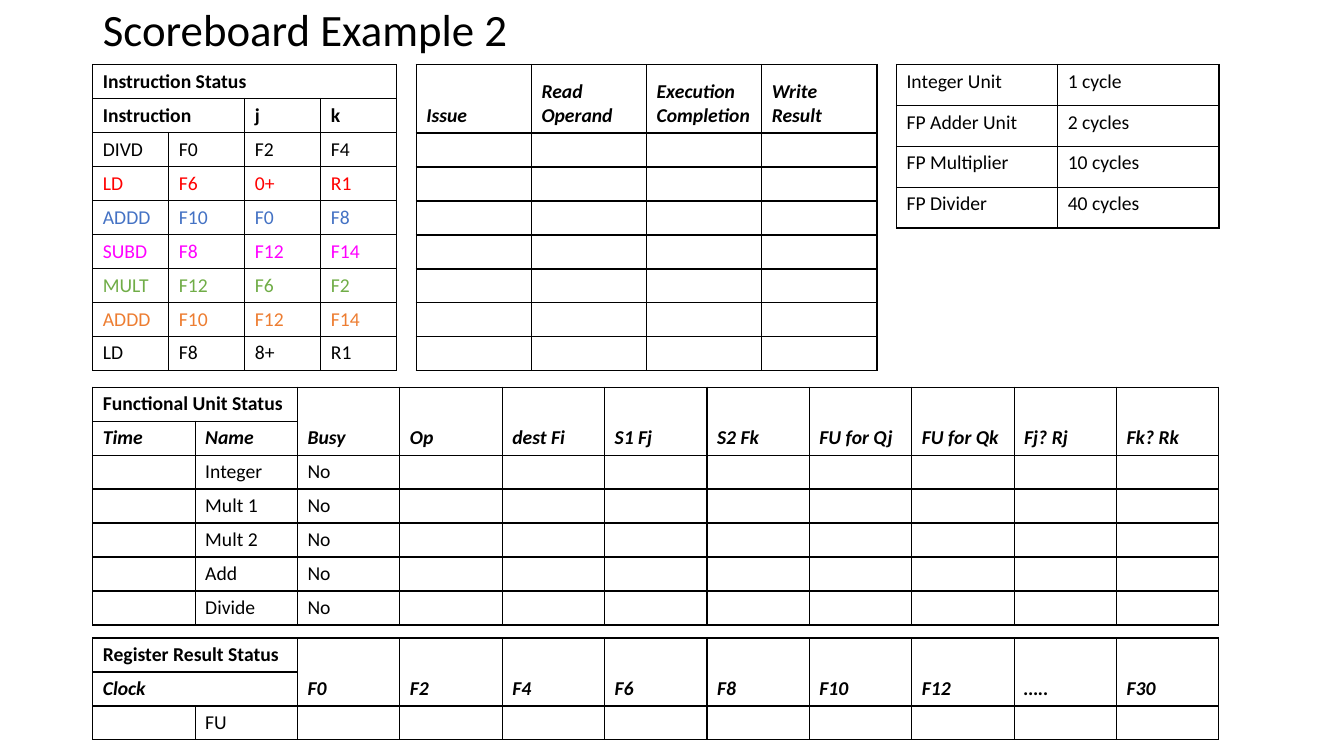
from dataclasses import dataclass

from lxml import etree
from pptx import Presentation
from pptx import util as u
from pptx.dml.color import RGBColor
from pptx.enum import text as t
from pptx.oxml import ns

BLACK = RGBColor(0x00, 0x00, 0x00)
RED = RGBColor(0xFF, 0x00, 0x00)
BLUE = RGBColor(0x44, 0x72, 0xC4)
MAGENTA = RGBColor(0xFF, 0x00, 0xFF)
GREEN = RGBColor(0x70, 0xAD, 0x47)
ORANGE = RGBColor(0xED, 0x7D, 0x31)

FONT = "Calibri"
BODY_SIZE = 14
LEFT, TOP = u.Inches(0.92), u.Inches(0.64)
COLUMN = u.Inches(11.17) / 11
ROW = u.Inches(0.33)


@dataclass(frozen=True)
class Entry:
    """Content of one table cell; rows and cols are the cells it spans."""
    text: str = ""
    color: RGBColor = BLACK
    bold: bool = False
    italic: bool = False
    bottom: bool = False
    rows: int = 1
    cols: int = 1


@dataclass(frozen=True)
class Grid:
    """Table placed in grid columns and rows, counted from LEFT and TOP."""
    column: float
    row: float
    width: float
    column_count: int
    entries: list[list[Entry | None]]
    row_height: float = 1
    header_height: float = 1


def section(label: str, cols: int) -> Entry:
    return Entry(label, bold=True, cols=cols)


def heading(label: str, rows: int = 1, cols: int = 1, bottom: bool = False) -> Entry:
    return Entry(label, bold=True, italic=True, bottom=bottom, rows=rows, cols=cols)


def plain(*labels: str, color: RGBColor = BLACK) -> list[Entry]:
    return [Entry(label, color) for label in labels]


def tall_headings(*labels: str) -> list[Entry]:
    return [heading(label, rows=2, bottom=True) for label in labels]


def write(paragraph, content: str, *, size: float = BODY_SIZE, color: RGBColor = BLACK,
          bold: bool = False, italic: bool = False) -> None:
    run = paragraph.add_run()
    run.text = content
    font = run.font
    font.name, font.size = FONT, u.Pt(size)
    font.bold, font.italic = bold, italic
    font.color.rgb = color


def outline(cell) -> None:
    properties = cell._tc.get_or_add_tcPr()
    for side in ("a:lnL", "a:lnR", "a:lnT", "a:lnB"):
        line = etree.SubElement(properties, ns.qn(side), w=str(u.Pt(1)))
        fill = etree.SubElement(line, ns.qn("a:solidFill"))
        etree.SubElement(fill, ns.qn("a:srgbClr"), val=str(BLACK))


def fill_cell(cell, entry: Entry) -> None:
    paragraph = cell.text_frame.paragraphs[0]
    if entry.text:
        write(paragraph, entry.text, color=entry.color, bold=entry.bold, italic=entry.italic)
    else:
        etree.SubElement(paragraph._p, ns.qn("a:endParaRPr"), sz=str(BODY_SIZE * 100))
    if entry.bottom:
        cell.vertical_anchor = t.MSO_ANCHOR.BOTTOM


def draw_grid(slide, grid: Grid) -> None:
    row_count = len(grid.entries)
    heights = [grid.header_height] + [grid.row_height] * (row_count - 1)
    table = slide.shapes.add_table(
        row_count, grid.column_count,
        round(LEFT + grid.column * COLUMN), round(TOP + grid.row * ROW),
        round(grid.width * COLUMN), round(sum(heights) * ROW)).table
    table.first_row = table.horz_banding = False
    for row, height in zip(table.rows, heights):
        row.height = round(height * ROW)
    for column in table.columns:
        column.width = round(grid.width * COLUMN / grid.column_count)
    for r, entries in enumerate(grid.entries):
        for c in range(grid.column_count):
            cell = table.cell(r, c)
            entry = (entries[c] if c < len(entries) else None) or Entry()
            if entry.rows > 1 or entry.cols > 1:
                cell.merge(table.cell(r + entry.rows - 1, c + entry.cols - 1))
            outline(cell)
            cell.fill.background()
            fill_cell(cell, entry)


INSTRUCTIONS = Grid(0, 0, 2.97, 4, [
    [section("Instruction Status", 4)],
    [section("Instruction", 2), None, section("j", 1), section("k", 1)],
    plain("DIVD", "F0", "F2", "F4"),
    plain("LD", "F6", "0+", "R1", color=RED),
    plain("ADDD", "F10", "F0", "F8", color=BLUE),
    plain("SUBD", "F8", "F12", "F14", color=MAGENTA),
    plain("MULT", "F12", "F6", "F2", color=GREEN),
    plain("ADDD", "F10", "F12", "F14", color=ORANGE),
    plain("LD", "F8", "8+", "R1"),
])
STAGES = Grid(3.16, 0, 4.5, 4, [
    [heading(stage, bottom=True) for stage in
     ("Issue", "Read Operand", "Execution Completion", "Write Result")],
    *[[] for _ in range(7)],
], header_height=2.06)
FUNCTIONAL_UNITS = Grid(0, 9.7, 11, 11, [
    [section("Functional Unit Status", 2), None,
     *tall_headings("Busy", "Op", "dest Fi", "S1 Fj", "S2 Fk", "FU for Qj", "FU for Qk",
                    "Fj? Rj", "Fk? Rk")],
    [heading("Time"), heading("Name")],
    *[plain("", unit, "No") for unit in ("Integer", "Mult 1", "Mult 2", "Add", "Divide")],
])
REGISTERS = Grid(0, 17.24, 11, 11, [
    [section("Register Result Status", 2), None,
     *tall_headings("F0", "F2", "F4", "F6", "F8", "F10", "F12", "…..", "F30")],
    [heading("Clock", cols=2)],
    plain("", "FU"),
])
LATENCIES = Grid(7.85, 0, 3.15, 2, [
    plain("Integer Unit", "1 cycle"),
    plain("FP Adder Unit", "2 cycles"),
    plain("FP Multiplier", "10 cycles"),
    plain("FP Divider", "40 cycles"),
], row_height=1.23, header_height=1.23)


def draw_title(slide, content: str) -> None:
    title = slide.shapes.title
    title.left, title.top, title.width, title.height = LEFT, 0, u.Inches(11.5), TOP
    frame = title.text_frame
    frame.auto_size = t.MSO_AUTO_SIZE.NONE
    frame.vertical_anchor = t.MSO_ANCHOR.MIDDLE
    paragraph = frame.paragraphs[0]
    paragraph.alignment = t.PP_ALIGN.LEFT
    paragraph.line_spacing = 0.9
    write(paragraph, content, size=32)


def main() -> None:
    deck = Presentation()
    deck.slide_width, deck.slide_height = u.Inches(13.33), u.Inches(7.5)
    slide = deck.slides.add_slide(deck.slide_layouts[5])
    draw_title(slide, "Scoreboard Example 2")
    for grid in (INSTRUCTIONS, STAGES, FUNCTIONAL_UNITS, REGISTERS, LATENCIES):
        draw_grid(slide, grid)
    deck.save("out.pptx")


if __name__ == "__main__":
    main()
